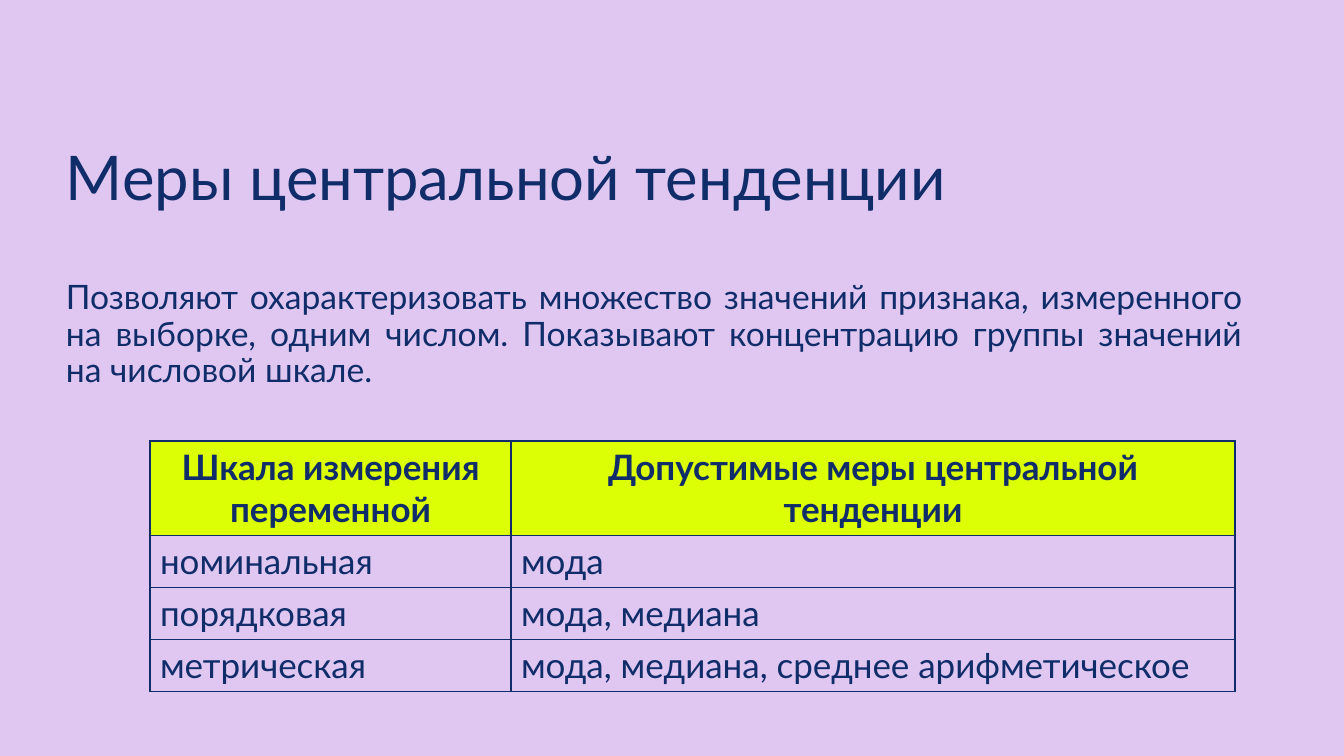
from lxml import etree
from pptx import Presentation
from pptx.dml.color import RGBColor
from pptx.enum.text import MSO_ANCHOR, PP_ALIGN
from pptx.oxml.ns import qn
from pptx.util import Emu, Pt

LEFT, CENTER, JUSTIFY = PP_ALIGN.LEFT, PP_ALIGN.CENTER, PP_ALIGN.JUSTIFY
TOP, MIDDLE = MSO_ANCHOR.TOP, MSO_ANCHOR.MIDDLE

EMU_PER_PX = 914400 / 100.8
FONT = "Lato"
NAVY = "102D69"
LILAC = "DFC7F2"
LIME = "DCFF05"

SCALES = [
    ("Шкала измерения переменной", "Допустимые меры центральной тенденции"),
    ("номинальная", "мода"),
    ("порядковая", "мода, медиана"),
    ("метрическая", "мода, медиана, среднее арифметическое"),
]
COLUMN_WIDTHS = (361, 724)
HEADER_HEIGHT, ROW_HEIGHT = 93, 52


def px(length):
    return Emu(round(length * EMU_PER_PX))


def color(value):
    return RGBColor.from_string(value)


def write(frame, text, size, align=LEFT, bold=False):
    frame.text = text
    paragraph = frame.paragraphs[0]
    paragraph.alignment = align
    font = paragraph.runs[0].font
    font.name, font.size, font.bold = FONT, Pt(size), bold
    font.color.rgb = color(NAVY)
    return paragraph


def add_text(slide, box, text, size, align, anchor):
    frame = slide.shapes.add_textbox(*map(px, box)).text_frame
    frame.word_wrap = True
    frame.vertical_anchor = anchor
    write(frame, text, size, align).line_spacing = 0.9


def add_borders(cell):
    """Outline a cell; the lines must precede its fill in the XML."""
    properties = cell._tc.get_or_add_tcPr()
    for position, side in enumerate(("a:lnL", "a:lnR", "a:lnT", "a:lnB")):
        line = etree.Element(qn(side), w=str(Pt(1)))
        fill = etree.SubElement(line, qn("a:solidFill"))
        etree.SubElement(fill, qn("a:srgbClr"), val=NAVY)
        properties.insert(position, line)


def add_scale_table(slide, left, top):
    heights = [HEADER_HEIGHT] + [ROW_HEIGHT] * (len(SCALES) - 1)
    table = slide.shapes.add_table(
        len(SCALES), len(COLUMN_WIDTHS), px(left), px(top),
        px(sum(COLUMN_WIDTHS)), px(sum(heights))).table
    table.horz_banding = False
    for column, width in zip(table.columns, COLUMN_WIDTHS):
        column.width = px(width)
    for row_index, (row, height) in enumerate(zip(table.rows, heights)):
        row.height = px(height)
        is_header = row_index == 0
        for cell, text in zip(row.cells, SCALES[row_index]):
            write(cell.text_frame, text, 25, CENTER if is_header else LEFT, is_header)
            if is_header:
                cell.fill.solid()
                cell.fill.fore_color.rgb = color(LIME)
            else:
                cell.fill.background()
            add_borders(cell)


def main():
    deck = Presentation()
    deck.slide_width, deck.slide_height = px(1344), px(756)
    slide = deck.slides.add_slide(deck.slide_layouts[6])
    slide.background.fill.solid()
    slide.background.fill.fore_color.rgb = color(LILAC)

    add_text(slide, (56, 108, 1234, 146), "Меры центральной тенденции", 44, LEFT, MIDDLE)
    add_text(slide, (56, 276, 1196, 462),
             "Позволяют охарактеризовать множество значений признака, измеренного "
             "на выборке, одним числом. Показывают концентрацию группы значений "
             "на числовой шкале.", 24, JUSTIFY, TOP)
    add_scale_table(slide, 150, 441)
    deck.save("out.pptx")


if __name__ == "__main__":
    main()
